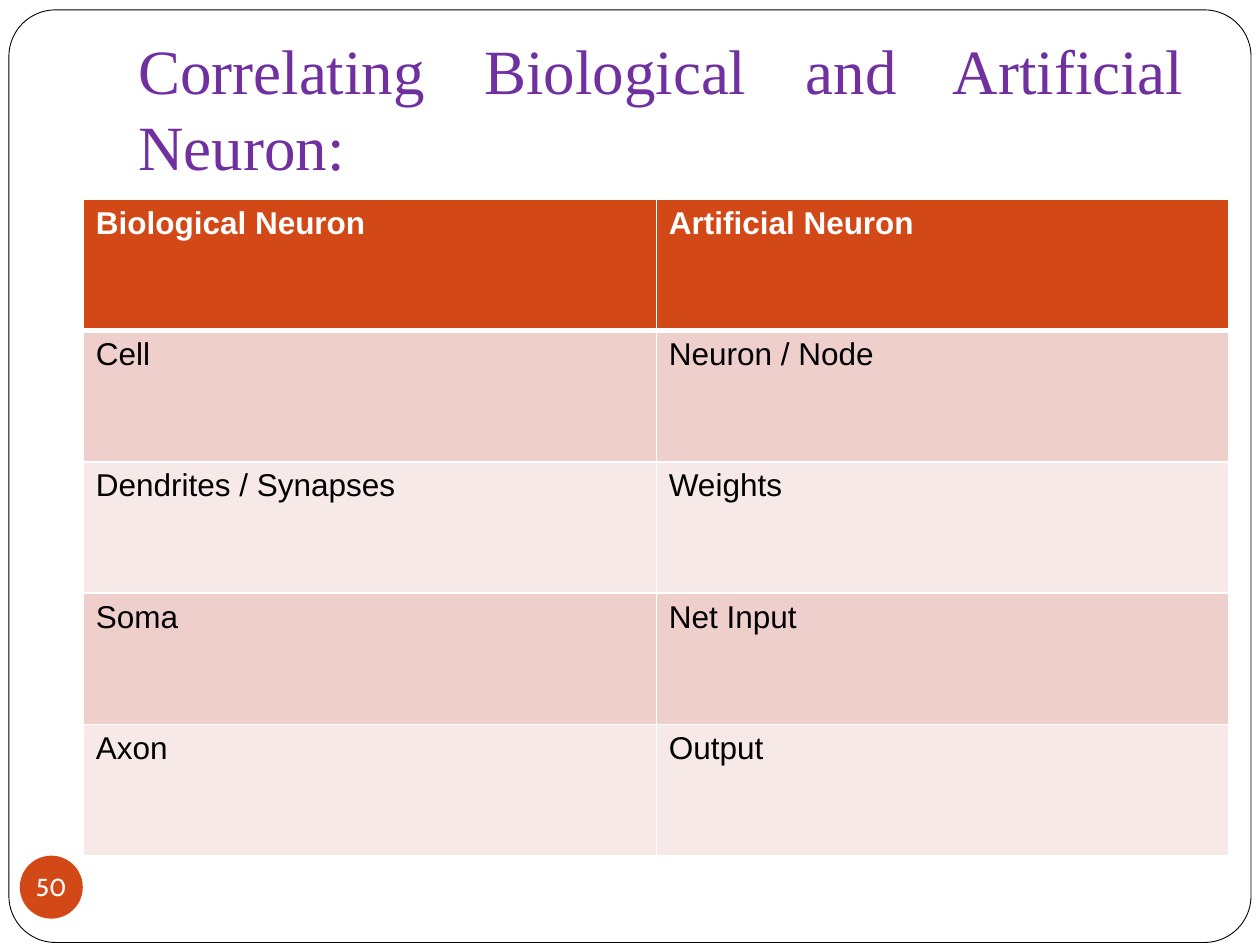
from dataclasses import dataclass

from lxml import etree
from pptx import Presentation
from pptx.dml.color import RGBColor
from pptx.enum.shapes import MSO_SHAPE
from pptx.enum.text import MSO_ANCHOR, PP_ALIGN
from pptx.oxml.ns import qn
from pptx.util import Cm, Pt

ROUND, OVAL = MSO_SHAPE.ROUNDED_RECTANGLE, MSO_SHAPE.OVAL
TOP, MIDDLE, BOTTOM = MSO_ANCHOR.TOP, MSO_ANCHOR.MIDDLE, MSO_ANCHOR.BOTTOM
LEFT, CENTER, JUSTIFY = PP_ALIGN.LEFT, PP_ALIGN.CENTER, PP_ALIGN.JUSTIFY

WHITE = RGBColor(0xFF, 0xFF, 0xFF)
BLACK = RGBColor(0x00, 0x00, 0x00)
PURPLE = RGBColor(0x70, 0x30, 0xA0)
ORANGE = RGBColor(0xD3, 0x48, 0x17)
ROSE = RGBColor(0xEF, 0xCF, 0xCC)
PALE = RGBColor(0xF7, 0xE9, 0xE8)


@dataclass
class Style:
    name: str
    size: float
    color: RGBColor
    bold: bool = False
    align: PP_ALIGN = LEFT


TITLE = Style("Times New Roman", 36, PURPLE, align=JUSTIFY)
HEAD = Style("Arial", 18, WHITE, bold=True)
BODY = Style("Arial", 18, BLACK)
PAGE = Style("Cabin", 14, WHITE, align=CENTER)

PAIRS = [
    ("Biological Neuron", "Artificial Neuron"),
    ("Cell", "Neuron / Node"),
    ("Dendrites / Synapses", "Weights"),
    ("Soma", "Net Input"),
    ("Axon", "Output"),
]


def write(frame, text: str, style: Style) -> None:
    para = frame.paragraphs[0]
    para.alignment = style.align
    run = para.add_run()
    run.text = text
    form = {"name": style.name, "size": Pt(style.size), "bold": style.bold}
    for key, value in form.items():
        setattr(run.font, key, value)
    run.font.color.rgb = style.color


def set_frame(frame, anchor, wrap: bool, *insets: float) -> None:
    form = {"vertical_anchor": anchor, "word_wrap": wrap}
    sides = ("margin_left", "margin_top", "margin_right", "margin_bottom")
    form.update(zip(sides, map(Cm, insets)))
    for key, value in form.items():
        setattr(frame, key, value)


def add_shape(slide, kind, box: tuple, fill: RGBColor):
    shape = slide.shapes.add_shape(kind, *map(Cm, box))
    shape.shadow.inherit = False
    shape.fill.solid()
    shape.fill.fore_color.rgb = fill
    return shape


def add_edge(cell, side: str, width: float) -> None:
    props = cell._tc.get_or_add_tcPr()
    line = etree.SubElement(props, qn(f"a:ln{side}"), w=str(Pt(width)))
    fill = etree.SubElement(line, qn("a:solidFill"))
    etree.SubElement(fill, qn("a:srgbClr"), val=str(WHITE))


def fill_cell(cell, text: str, row: int) -> None:
    # The rule below the header is thicker than the others
    for side in "LRTB":
        thick = (row, side) in ((0, "B"), (1, "T"))
        add_edge(cell, side, 3 if thick else 1)
    cell.fill.solid()
    cell.fill.fore_color.rgb = ORANGE if row == 0 else (PALE, ROSE)[row % 2]
    cell.vertical_anchor = TOP
    write(cell.text_frame, text, BODY if row else HEAD)


def main() -> None:
    deck = Presentation()
    deck.slide_width, deck.slide_height = Cm(25.4), Cm(19.05)
    slide = deck.slides.add_slide(deck.slide_layouts[6])

    # Rounded page frame
    frame = add_shape(slide, ROUND, (0.18, 0.2, 25.04, 18.8), WHITE)
    frame.adjustments[0] = 0.05
    frame.line.color.rgb = BLACK
    frame.line.width = Pt(0.5)

    # Title
    title = slide.shapes.add_textbox(Cm(2.54), Cm(0.76), Cm(21.59), Cm(3.18))
    set_frame(title.text_frame, BOTTOM, True, 0.25, 0.13, 0.25, 0.25)
    write(title.text_frame, "Correlating Biological and Artificial Neuron:", TITLE)

    # Table of matching terms
    box = map(Cm, (1.68, 4.02, 23.1, 13.23))
    table = slide.shapes.add_table(len(PAIRS), 2, *box).table
    for row, pair in enumerate(PAIRS):
        for col, text in enumerate(pair):
            fill_cell(table.cell(row, col), text, row)

    # Page number
    badge = add_shape(slide, OVAL, (0.4, 17.25, 1.27, 1.27), ORANGE)
    badge.line.fill.background()
    set_frame(badge.text_frame, MIDDLE, False, 0, 0, 0, 0)
    write(badge.text_frame, "50", PAGE)

    deck.save("out.pptx")


if __name__ == "__main__":
    main()
